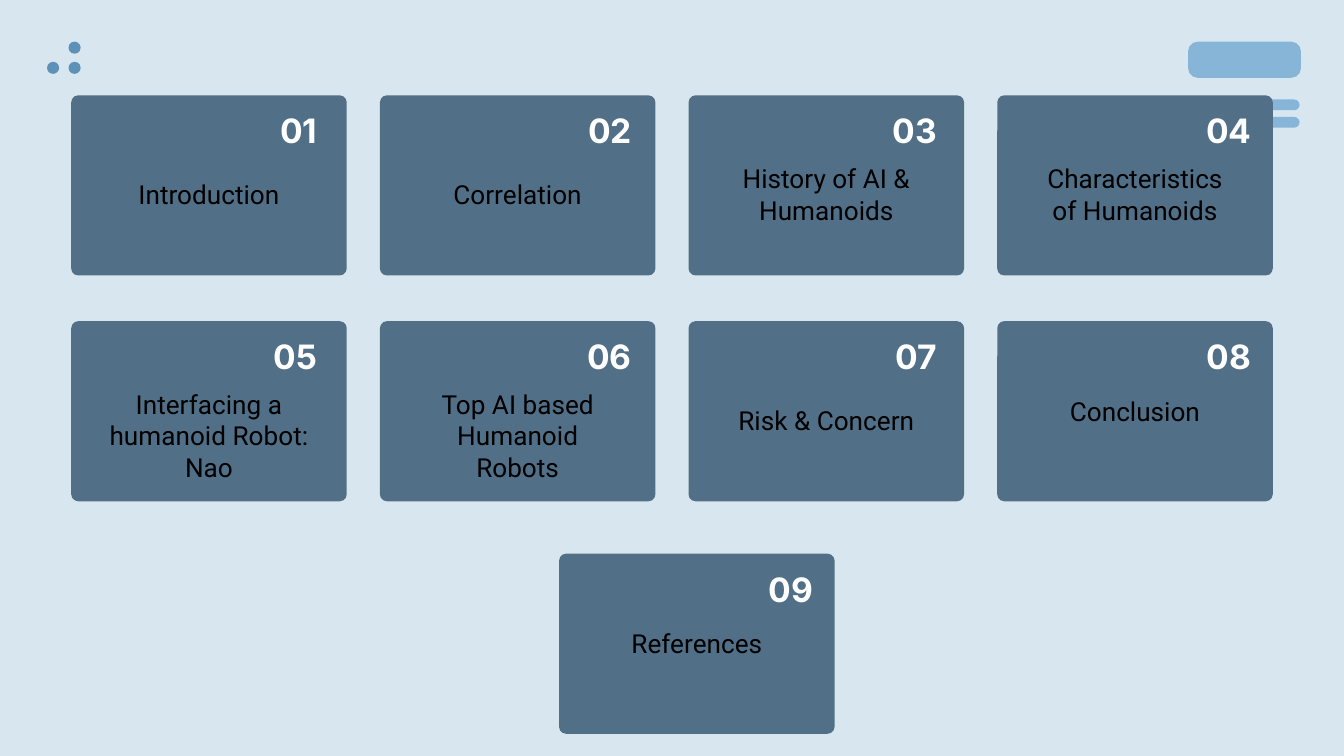
from dataclasses import dataclass

from pptx import Presentation
from pptx.dml.color import RGBColor
from pptx.enum.shapes import MSO_SHAPE
from pptx.enum.text import MSO_ANCHOR, MSO_AUTO_SIZE, PP_ALIGN
from pptx.shapes.autoshape import Shape
from pptx.slide import Slide
from pptx.util import Inches, Pt

OVAL = MSO_SHAPE.OVAL
ROUNDED = MSO_SHAPE.ROUNDED_RECTANGLE
TOP = MSO_ANCHOR.TOP
BOTTOM = MSO_ANCHOR.BOTTOM
CENTER = PP_ALIGN.CENTER
RIGHT = PP_ALIGN.RIGHT
NO_FIT = MSO_AUTO_SIZE.NONE
TITLE_ONLY = 5


@dataclass(frozen=True)
class Theme:
    background: str = "D8E6EF"
    card: str = "516F86"
    bar: str = "86B5D8"
    dot: str = "5D91B7"
    number: str = "FFFFFF"
    label: str = "000000"
    number_font: str = "Inter"
    label_font: str = "Roboto"
    number_size: int = 18
    label_size: int = 14


@dataclass(frozen=True)
class Frame:
    left: float
    top: float
    width: float
    height: float


@dataclass(frozen=True)
class Topic:
    label: str
    left: float
    top: float
    number_left: float
    label_top: float
    label_height: float = 0.44
    label_width: float = 1.55


THEME = Theme()
CARD_WIDTH, CARD_HEIGHT = 2.05, 1.34
COLUMNS = [0.53 + column * 6.89 / 3 for column in range(4)]
NUMBER_LEFTS = [1.82, 4.16, 6.43, 8.77]
FIRST, SECOND, THIRD = 0.71, 2.39, 4.12

TOPICS = [
    Topic("Introduction", COLUMNS[0], FIRST, NUMBER_LEFTS[0], 1.23),
    Topic("Correlation", COLUMNS[1], FIRST, NUMBER_LEFTS[1], 1.23),
    Topic("History of AI & Humanoids", COLUMNS[2], FIRST, NUMBER_LEFTS[2], 1.11, 0.67),
    Topic("Characteristics of Humanoids", COLUMNS[3], FIRST, NUMBER_LEFTS[3], 1.11, 0.67),
    Topic("Interfacing a humanoid Robot: Nao", COLUMNS[0], SECOND, NUMBER_LEFTS[0], 2.79, 0.91, 1.78),
    Topic("Top AI based Humanoid Robots", COLUMNS[1], SECOND, NUMBER_LEFTS[1], 2.79, 0.67),
    Topic("Risk & Concern", COLUMNS[2], SECOND, NUMBER_LEFTS[2], 2.91),
    Topic("Conclusion", COLUMNS[3], SECOND, NUMBER_LEFTS[3], 2.84),
    Topic("References", 4.16, THIRD, 5.51, 4.57),
]
BARS = [
    (Frame(8.84, 0.31, 0.84, 0.27), 0.27),
    (Frame(9.2, 0.74, 0.47, 0.08), 0.5),
    (Frame(9.2, 0.87, 0.47, 0.08), 0.5),
]
DOTS = [Frame(left, top, 0.09, 0.09) for left, top in ((0.51, 0.31), (0.51, 0.46), (0.35, 0.46))]


def add_block(slide: Slide, kind: MSO_SHAPE, frame: Frame, color: str) -> Shape:
    block = slide.shapes.add_shape(
        kind, Inches(frame.left), Inches(frame.top), Inches(frame.width), Inches(frame.height)
    )
    block.shadow.inherit = False
    block.fill.solid()
    block.fill.fore_color.rgb = RGBColor.from_string(color)
    block.line.fill.background()
    return block


def add_rounded(slide: Slide, frame: Frame, color: str, radius: float) -> None:
    block = add_block(slide, ROUNDED, frame, color)
    block.adjustments[0] = radius


def write(
    box: Shape, frame: Frame, text: str, font: str, size: int, color: str,
    align: PP_ALIGN, anchor: MSO_ANCHOR, bold: bool = False,
) -> None:
    box.left, box.top = Inches(frame.left), Inches(frame.top)
    box.width, box.height = Inches(frame.width), Inches(frame.height)
    body = box.text_frame
    body.word_wrap = True
    body.auto_size = NO_FIT
    body.vertical_anchor = anchor
    body.margin_left = body.margin_right = Inches(0.1)
    body.margin_top = body.margin_bottom = Inches(0.1)
    para = body.paragraphs[0]
    para.alignment = align
    span = para.add_run()
    span.text = text
    span.font.name = font
    span.font.size = Pt(size)
    span.font.bold = bold
    span.font.color.rgb = RGBColor.from_string(color)


def add_box(slide: Slide) -> Shape:
    return slide.shapes.add_textbox(0, 0, 0, 0)


def add_topic(slide: Slide, topic: Topic, number: int) -> None:
    add_rounded(slide, Frame(topic.left, topic.top, CARD_WIDTH, CARD_HEIGHT), THEME.card, 0.039)
    if number == 1:
        number_box = slide.shapes.title
        slide.shapes.element.append(number_box.element)
    else:
        number_box = add_box(slide)
    write(
        number_box, Frame(topic.number_left, topic.top, 0.64, 0.51), f"{number:02d}",
        THEME.number_font, THEME.number_size, THEME.number, RIGHT, BOTTOM, True,
    )
    label_left = topic.left + (CARD_WIDTH - topic.label_width) / 2
    write(
        add_box(slide), Frame(label_left, topic.label_top, topic.label_width, topic.label_height),
        topic.label, THEME.label_font, THEME.label_size, THEME.label, CENTER, TOP,
    )


def main() -> None:
    deck = Presentation()
    deck.slide_width = Inches(10)
    deck.slide_height = deck.slide_width * 9 // 16
    page = deck.slides.add_slide(deck.slide_layouts[TITLE_ONLY])
    page.background.fill.solid()
    page.background.fill.fore_color.rgb = RGBColor.from_string(THEME.background)
    for frame, radius in BARS:
        add_rounded(page, frame, THEME.bar, radius)
    for frame in DOTS:
        add_block(page, OVAL, frame, THEME.dot)
    for number, topic in enumerate(TOPICS, 1):
        add_topic(page, topic, number)
    deck.save("out.pptx")


if __name__ == "__main__":
    main()
